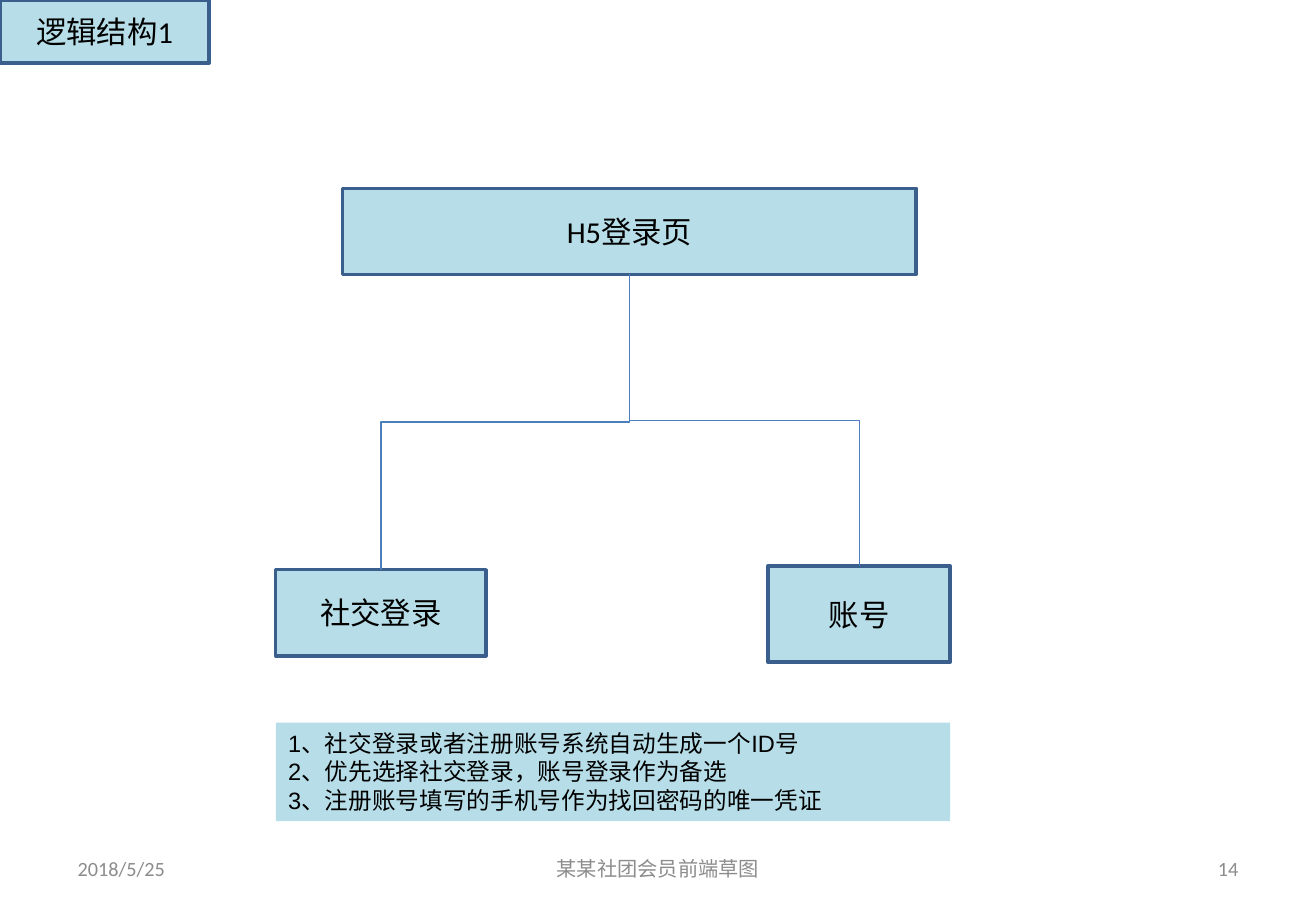
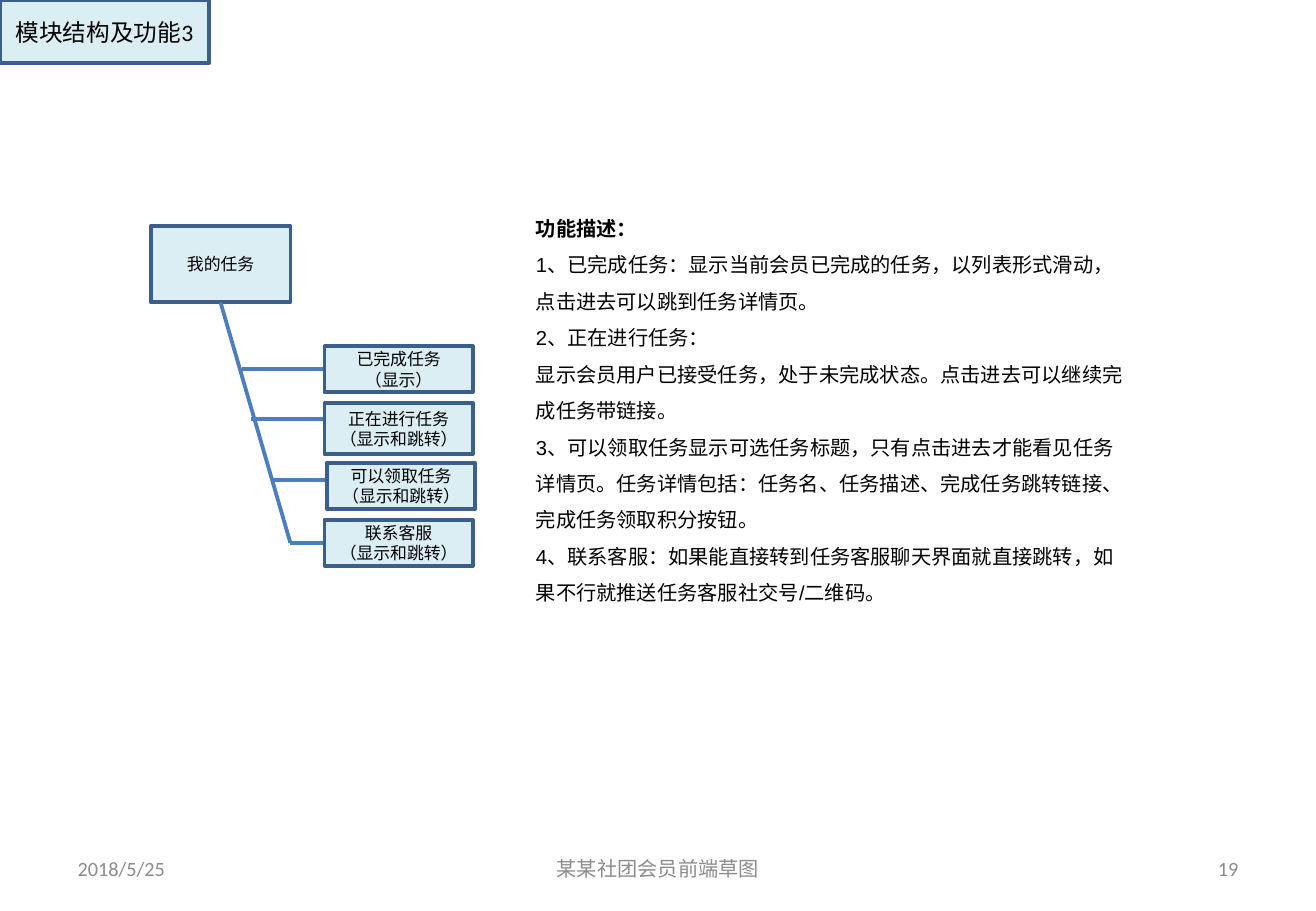
import pptx
import pptx.util
import pptx.dml.color
import pptx.enum.shapes
import pptx.enum.text
import pptx.oxml

Inches = pptx.util.Inches
Pt = pptx.util.Pt
Align = pptx.enum.text.PP_ALIGN
Anchor = pptx.enum.text.MSO_ANCHOR
Link = pptx.enum.shapes.MSO_CONNECTOR

COLORS = {
    "sky": "B7DEE8",
    "pale": "DBEEF4",
    "edge": "3A5F8C",
    "link": "4B7EBC",
    "ink": "000000",
    "gray": "8C8C8C",
}
DATE = "2018/5/25"
FOOTER = "某某社团会员前端草图"
TAG = (0, 0, 1.72, 0.52)
BOTTOM, LEFT, TOP = 2, 1, 0


def color(name):
    return pptx.dml.color.RGBColor.from_string(COLORS[name])


def place(shape, left, top, width, height):
    shape.left, shape.top = Inches(left), Inches(top)
    shape.width, shape.height = Inches(width), Inches(height)


def write(shape, lines, size=12, font="Calibri", ink="ink", align=Align.CENTER,
          anchor=Anchor.MIDDLE, space=1.0, bold_first=False):
    """Fill a shape with one paragraph per line, all in one format."""
    frame = shape.text_frame
    frame.word_wrap = True
    frame.auto_size = pptx.enum.text.MSO_AUTO_SIZE.NONE
    frame.vertical_anchor = anchor
    frame.text = "\n".join(lines)
    for index, para in enumerate(frame.paragraphs):
        para.alignment = align
        para.line_spacing = space
        para.space_before = Pt(0)
        for run in para.runs:
            run.font.size = Pt(size)
            run.font.name = font
            run.font.bold = bold_first and index == 0
            run.font.color.rgb = color(ink)


def paint(shape, fill, width=None):
    shape.fill.solid()
    shape.fill.fore_color.rgb = color(fill)
    if width:
        shape.line.color.rgb = color("edge")
        shape.line.width = Pt(width)


def add_box(slide, lines, spot, fill, width, size):
    kind = pptx.enum.shapes.MSO_SHAPE.RECTANGLE
    box = slide.shapes.add_shape(kind, *map(Inches, spot))
    box.shadow.inherit = False
    paint(box, fill, width)
    write(box, lines, size)
    return box


def add_link(slide, kind, start, end, width):
    link = slide.shapes.add_connector(kind, *map(Inches, start + end))
    link.line.color.rgb = color("link")
    link.line.width = Pt(width)
    props = link._element.spPr
    props.append(props.makeelement(pptx.oxml.ns.qn("a:effectLst"), {}))
    return link


def add_bend(slide, upper, lower):
    """Join two boxes by an elbow that leaves downwards, turned by a right angle."""
    link = add_link(slide, Link.ELBOW, (0, 0), (1, 1), 0.75)
    link.begin_connect(upper, BOTTOM)
    link.end_connect(lower, TOP)
    wide, drop = link.width, link.height
    mid_x, mid_y = link.left + wide // 2, link.top + drop // 2
    right = link.end_x > link.begin_x
    frame = link._element.spPr.xfrm
    frame.flipH = right
    frame.rot = 270.0 if right else 90.0
    link.left, link.top = mid_x - drop // 2, mid_y - wide // 2
    link.width, link.height = drop, wide


def add_list(slide, lines, spot, **style):
    body = slide.placeholders[1]
    place(body, *spot)
    write(body, lines, font="Arial", align=Align.LEFT, anchor=Anchor.TOP, **style)
    for para in body.text_frame.paragraphs:
        props = para._p.get_or_add_pPr()
        props.set("marL", "0")
        props.set("indent", "0")
        props.append(props.makeelement(pptx.oxml.ns.qn("a:buNone"), {}))
    return body


def add_page(deck, title, number, fill, width, size):
    slide = deck.slides.add_slide(deck.slide_layouts[1])
    tag = slide.shapes.title
    place(tag, *TAG)
    paint(tag, fill, width)
    write(tag, [title], size)
    for text, left, wide, align in (
        (DATE, 0.54, 2.53, Align.LEFT),
        (FOOTER, 3.7, 3.43, Align.CENTER),
        (number, 7.76, 2.53, Align.RIGHT),
    ):
        note = slide.shapes.add_textbox(*map(Inches, (left, 6.95, wide, 0.4)))
        write(note, [text], ink="gray", align=align)
    return slide


def login_page(deck):
    look = {"fill": "sky", "width": 2, "size": 18}
    slide = add_page(deck, "逻辑结构1", "14", **look)
    login = add_box(slide, ["H5登录页"], (2.82, 1.55, 4.72, 0.71), **look)
    for text, spot in (
        ("账号", (6.32, 4.66, 1.5, 0.79)),
        ("社交登录", (2.27, 4.69, 1.73, 0.71)),
    ):
        add_bend(slide, login, add_box(slide, [text], spot, **look))
    rules = add_list(slide, [
        "1、社交登录或者注册账号系统自动生成一个ID号",
        "2、优先选择社交登录，账号登录作为备选",
        "3、注册账号填写的手机号作为找回密码的唯一凭证",
    ], (2.27, 5.95, 5.55, 0.81), size=14)
    paint(rules, "sky")


def task_page(deck):
    look = {"fill": "pale", "width": 2.25}
    slide = add_page(deck, "模块结构及功能3", "19", size=14, **look)
    add_list(slide, [
        "功能描述：",
        "1、已完成任务：显示当前会员已完成的任务，以列表形式滑动，点击进去可以跳到任务详情页。",
        "2、正在进行任务：",
        "显示会员用户已接受任务，处于未完成状态。点击进去可以继续完成任务带链接。",
        "3、可以领取任务显示可选任务标题，只有点击进去才能看见任务详情页。"
        "任务详情包括：任务名、任务描述、完成任务跳转链接、完成任务领取积分按钮。",
        "4、联系客服：如果能直接转到任务客服聊天界面就直接跳转，"
        "如果不行就推送任务客服社交号/二维码。",
    ], (4.31, 1.63, 5.04, 3.64), space=1.5, bold_first=True)

    tasks = add_box(slide, ["我的任务"], (1.24, 1.86, 1.15, 0.63), size=10, **look)
    trunk = add_link(slide, Link.STRAIGHT, (1.82, 2.49), (2.39, 4.47), 2.25)
    trunk.begin_connect(tasks, BOTTOM)
    jump = "（显示和跳转）"
    for name, action, left, top, high, start in (
        ("已完成任务", "（显示）", 2.67, 2.85, 0.38, (1.99, 3.04)),
        ("正在进行任务", jump, 2.67, 3.32, 0.42, (2.07, 3.45)),
        ("可以领取任务", jump, 2.69, 3.81, 0.38, (2.23, 3.95)),
        ("联系客服", jump, 2.67, 4.28, 0.38, (2.39, 4.47)),
    ):
        branch = add_link(slide, Link.STRAIGHT, start, (left, start[1]), 2.25)
        box = add_box(slide, [name, action], (left, top, 1.22, high), size=10, **look)
        if abs(top + high / 2 - start[1]) < 0.01:
            branch.end_connect(box, LEFT)


def main():
    deck = pptx.Presentation()
    deck.slide_width, deck.slide_height = Inches(10.83), Inches(7.5)
    login_page(deck)
    task_page(deck)
    deck.save("out.pptx")


if __name__ == "__main__":
    main()
